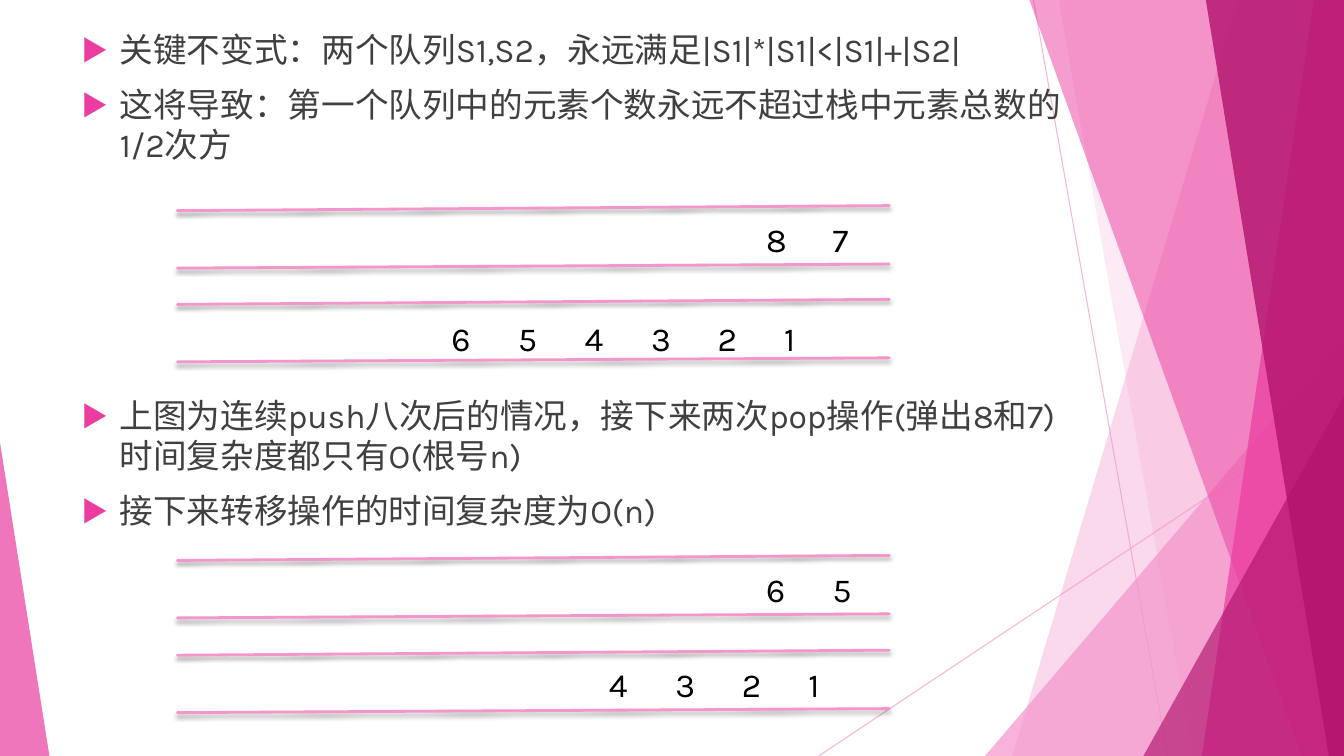
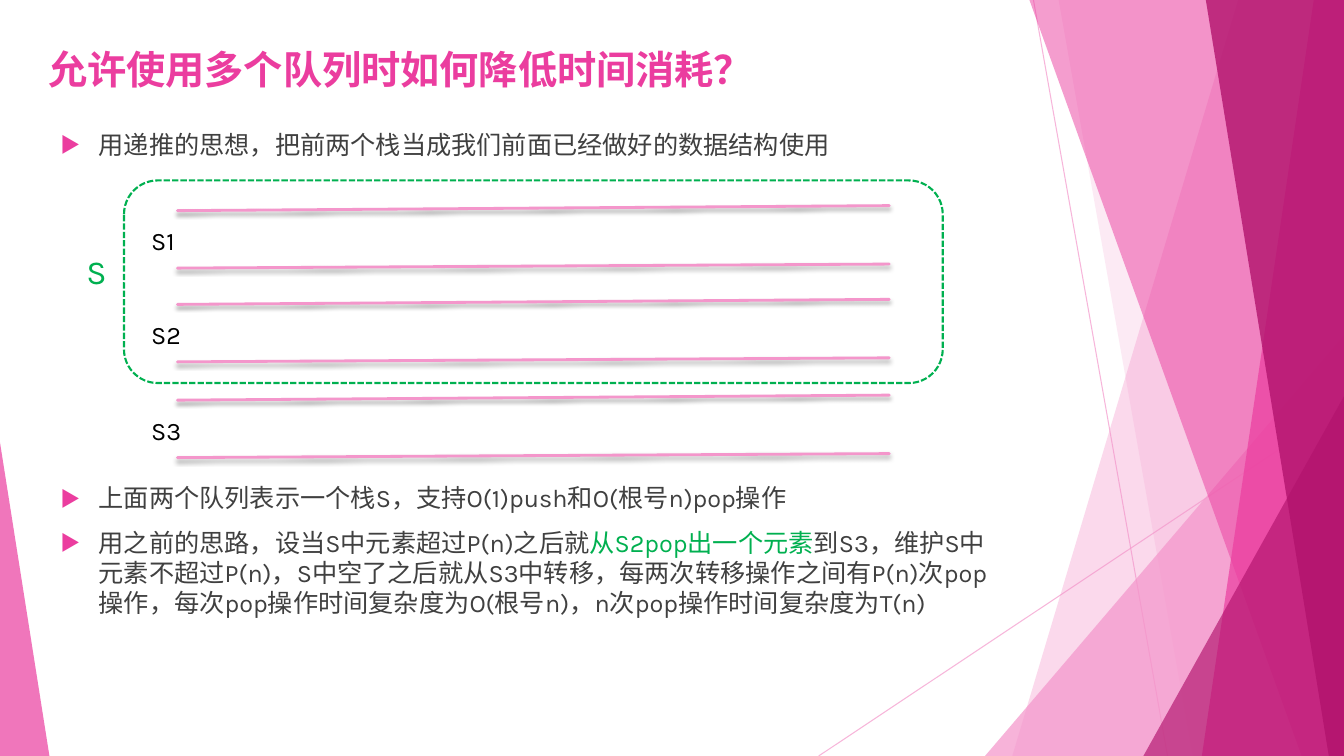
from lxml import etree
from pptx import Presentation
from pptx.dml.color import RGBColor
from pptx.enum import dml, shapes, text
from pptx.oxml import ns
from pptx.util import Inches, Pt

PINK = RGBColor(0xF4, 0x96, 0xCB)
ROSE = RGBColor(0xEB, 0x3D, 0x9F)
WINE = RGBColor(0xB2, 0x13, 0x6D)
GREEN = RGBColor(0x00, 0xB0, 0x50)
GRAY = RGBColor(0x40, 0x40, 0x40)
BLACK = RGBColor(0, 0, 0)
LATIN, HAN = "Karla", "Noto Sans CJK SC"
WIDE, HIGH = 13.33, 7.5

RAYS = [(10.25, 0, 11.58, HIGH), (WIDE, 4.03, 8.12, HIGH)]
BANDS = [
    ("band", 12.28, 10.04, PINK, 36),
    ("band", 10.5, 11.83, PINK, 20),
    ("wedge", 9.77, 3.33, PINK, 72),
    ("band", 10.21, 12.91, ROSE, 50),
    ("band", 13.03, 11.92, ROSE, 70),
    ("band", 11.96, 13.18, WINE, 80),
    ("wedge", 11.34, 3.93, WINE, 66),
]

SLIDES = [
    {
        "size": 24,
        "notes": [
            (0.71, 0.24, 9.96, 1.5, [
                [("关键不变式：两个队列S1,S2，永远满足|S1|*|S1|<|S1|+|S2|", GRAY)],
                [("这将导致：第一个队列中的元素个数永远不超过栈中元素总数的1/2次方", GRAY)],
            ]),
            (0.71, 3.87, 9.96, 1.5, [
                [("上图为连续push八次后的情况，接下来两次pop操作(弹出8和7)时间复杂度都只有O(根号n)", GRAY)],
                [("接下来转移操作的时间复杂度为O(n)", GRAY)],
            ]),
        ],
        "lanes": [2.04, 2.97, 5.51, 6.45],
        "queues": [
            (7.5, 2.12, "87"),
            (4.38, 3.1, "654321"),
            (7.5, 5.59, "65"),
            (5.94, 6.54, "4321"),
        ],
    },
    {
        "title": "允许使用多个队列时如何降低时间消耗？",
        "size": 18,
        "notes": [
            (0.5, 1.23, 9.4, 0.5, [
                [("用递推的思想，把前两个栈当成我们前面已经做好的数据结构使用", GRAY)],
            ]),
            (0.5, 4.74, 9.4, 1.9, [
                [("上面两个队列表示一个栈S，支持O(1)push和O(根号n)pop操作", GRAY)],
                [
                    ("用之前的思路，设当S中元素超过P(n)之后就", GRAY),
                    ("从S2pop出一个元素", GREEN),
                    ("到S3，维护S中元素不超过P(n)，S中空了之后就从S3中转移，"
                     "每两次转移操作之间有P(n)次pop操作，每次pop操作时间复杂度为O(根号n)，"
                     "n次pop操作时间复杂度为T(n)", GRAY),
                ],
            ]),
        ],
        "lanes": [2.04, 2.97, 3.92],
        "names": ["S1", "S2", "S3"],
        "group": ("S", 1.23, 1.79, 8.12, 2.01),
    },
]


def node(parent, tag, **attrs):
    return etree.SubElement(parent, ns.qn("a:" + tag), {k: str(v) for k, v in attrs.items()})


def fade(shape, share):
    for color in shape._element.spPr.iter(ns.qn("a:srgbClr")):
        node(color, "alpha", val=share * 1000)


def paint(shape, color, share):
    shape.shadow.inherit = False
    shape.fill.solid()
    shape.fill.fore_color.rgb = color
    shape.line.fill.background()
    fade(shape, share)


def wire(slide, ends, width):
    line = slide.shapes.add_connector(
        shapes.MSO_CONNECTOR.STRAIGHT, *[Inches(v) for v in ends])
    line.line.color.rgb = PINK
    line.line.width = Pt(width)
    return line, node(line._element.spPr, "effectLst")


def wedge(slide, x, y, width, tip, color, share):
    shape = slide.shapes.add_shape(
        shapes.MSO_SHAPE.ISOSCELES_TRIANGLE,
        Inches(x), Inches(y), Inches(width), Inches(HIGH - y))
    shape.adjustments[0] = tip
    paint(shape, color, share)


def band(slide, top, foot, color, share):
    form = slide.shapes.build_freeform(Inches(top), 0)
    form.add_line_segments(
        [(Inches(x), Inches(y)) for x, y in [(WIDE, 0), (WIDE, HIGH), (foot, HIGH)]])
    paint(form.convert_to_shape(), color, share)


def decor(slide):
    for ends in RAYS:
        ray, _ = wire(slide, ends, 0.75)
        fade(ray, 70)
    for kind, a, b, color, share in BANDS:
        if kind == "band":
            band(slide, a, b, color, share)
        else:
            wedge(slide, a, b, WIDE - a, 1, color, share)
    wedge(slide, 0, 4.39, 0.49, 0, ROSE, 70)


def style(run, size, color, bold=False, face=LATIN):
    run.font.size = Pt(size)
    run.font.name = face
    run.font.bold = bold
    run.font.color.rgb = color
    node(run.font._element, "ea", typeface=HAN)


def frame(slide, x, y, width, height):
    box = slide.shapes.add_textbox(Inches(x), Inches(y), Inches(width), Inches(height))
    box.text_frame.word_wrap = True
    box.text_frame.vertical_anchor = text.MSO_ANCHOR.TOP
    return box.text_frame


def label(slide, words, place, size, color, bold=False, face=LATIN):
    body = frame(slide, *place)
    body.text = words
    style(body.paragraphs[0].runs[0], size, color, bold, face)
    return body.paragraphs[0]


def bullet(para):
    props = para._p.get_or_add_pPr()
    props.set("marL", str(Inches(0.38)))
    props.set("indent", str(-Inches(0.38)))
    node(node(props, "buClr"), "srgbClr", val=ROSE)
    node(props, "buSzPct", val=80000)
    node(props, "buFont", typeface=HAN)
    node(props, "buChar", char="▶")


def notes(slide, place, items, size):
    body = frame(slide, *place)
    for i, parts in enumerate(items):
        para = body.add_paragraph() if i else body.paragraphs[0]
        bullet(para)
        para.space_before = Pt(10 if i else 0)
        for words, color in parts:
            run = para.add_run()
            run.text = words
            style(run, size, color)


def lane(slide, y):
    for right, left in [(y, y + 0.05), (y + 0.58, y + 0.62)]:
        line, effect = wire(slide, (8.82, right, 1.76, left), 2)
        line.line._get_or_add_ln().set("cap", "rnd")
        shade = node(effect, "outerShdw", blurRad=Pt(3), dist=Pt(2),
                     dir=5400000, rotWithShape=0)
        node(node(shade, "srgbClr", val="000000"), "alpha", val=35000)


def queue(slide, x, y, digits):
    step = 0.66
    para = label(slide, "\t".join(digits), (x, y, step * len(digits) + 0.3, 0.5), 24, BLACK)
    tabs = node(para._p.get_or_add_pPr(), "tabLst")
    for i in range(1, len(digits)):
        node(tabs, "tab", pos=Inches(step * i), algn="l")


def group(slide, name, x, y, width, height):
    box = slide.shapes.add_shape(
        shapes.MSO_SHAPE.ROUNDED_RECTANGLE,
        Inches(x), Inches(y), Inches(width), Inches(height))
    box.shadow.inherit = False
    box.fill.background()
    box.line.color.rgb = GREEN
    box.line.width = Pt(1.5)
    box.line.dash_style = dml.MSO_LINE.SQUARE_DOT
    label(slide, name, (0.76, 2.44, 1.14, 0.5), 24, GREEN)


def main():
    deck = Presentation()
    deck.slide_width, deck.slide_height = Inches(WIDE), Inches(HIGH)
    for data in SLIDES:
        slide = deck.slides.add_slide(deck.slide_layouts[6])
        decor(slide)
        if "title" in data:
            label(slide, data["title"], (0.38, 0.4, 9.4, 0.86), 28, ROSE, True, HAN)
        for *place, items in data["notes"]:
            notes(slide, place, items, data["size"])
        for y in data["lanes"]:
            lane(slide, y)
        for row in data.get("queues", []):
            queue(slide, *row)
        for name, y in zip(data.get("names", []), data["lanes"]):
            label(slide, name, (1.4, y + 0.15, 0.61, 0.4), 18, BLACK)
        if "group" in data:
            group(slide, *data["group"])
    deck.save("out.pptx")


if __name__ == "__main__":
    main()
